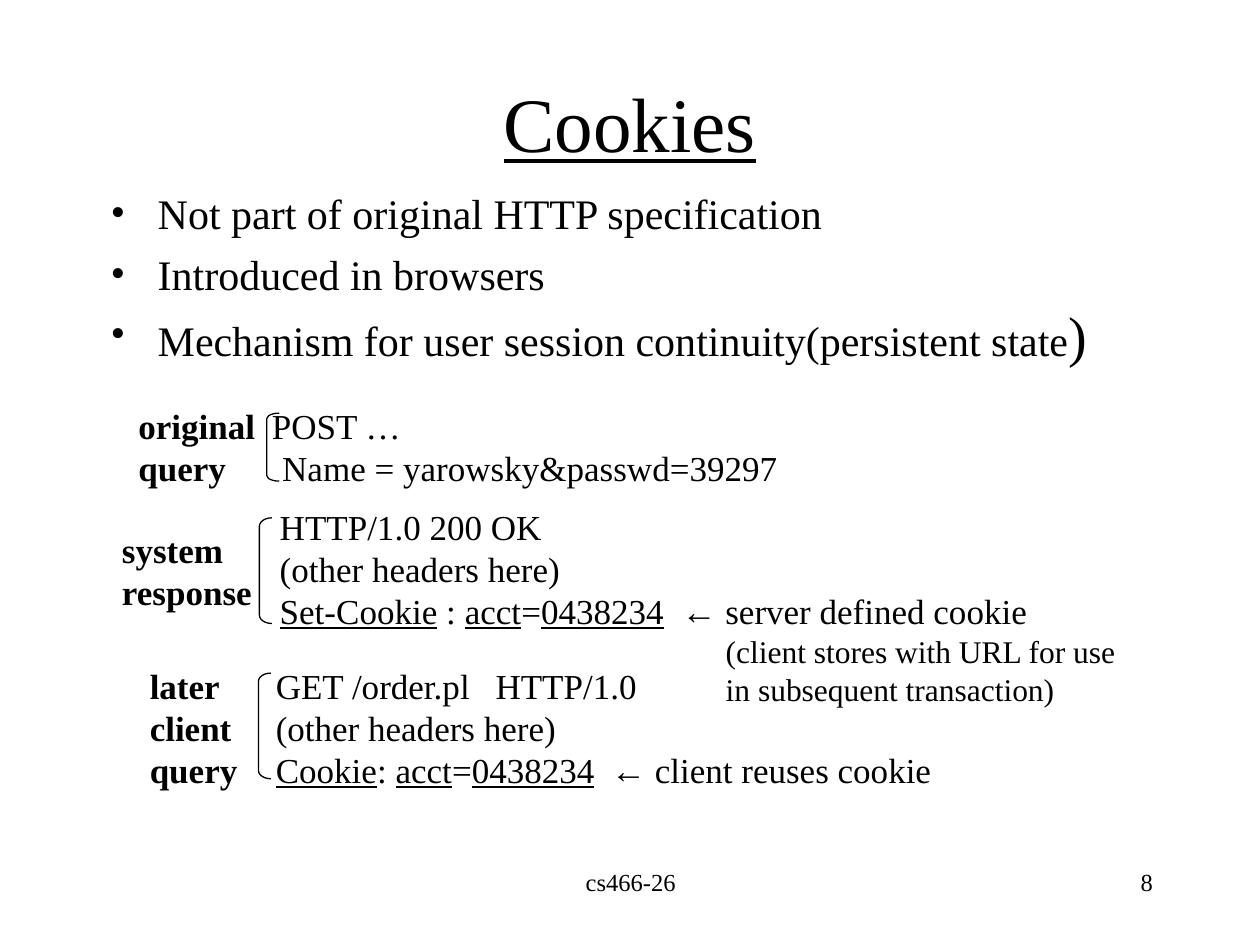
import pptx
import pptx.util
import pptx.dml.color
import pptx.enum.shapes
import pptx.enum.text
import pptx.oxml.ns
from lxml import etree

Cm = pptx.util.Cm
Pt = pptx.util.Pt
qn = pptx.oxml.ns.qn
ALIGN = pptx.enum.text.PP_ALIGN
COLORS = {"ink": "000000"}
INK = pptx.dml.color.RGBColor.from_string(COLORS["ink"])


def add_run(p, text, size=20, bold=False, underline=False, font="Times New Roman"):
    r = p.add_run()
    r.text = text
    r.font.size = Pt(size)
    r.font.bold = bold
    r.font.underline = underline
    r.font.name = font
    r.font.color.rgb = INK


def add_box(x, y, w, h):
    sp = s.shapes.add_textbox(Cm(x), Cm(y), Cm(w), Cm(h))
    sp.text_frame.word_wrap = True
    return sp.text_frame


prs = pptx.Presentation()
prs.slide_width, prs.slide_height = Cm(25.4), Cm(19.05)
s = prs.slides.add_slide(prs.slide_layouts[5])

title = s.shapes.title
title.left, title.top, title.width, title.height = Cm(1.9), Cm(1.3), Cm(21.6), Cm(2.3)
tf = title.text_frame
tf.auto_size = pptx.enum.text.MSO_AUTO_SIZE.NONE
tf.vertical_anchor = pptx.enum.text.MSO_ANCHOR.MIDDLE
tf.paragraphs[0].alignment = ALIGN.CENTER
add_run(tf.paragraphs[0], "Cookies", size=44, underline=True)

bullets = [
    "Not part of original HTTP specification",
    "Introduced in browsers",
    "Mechanism for user session continuity(persistent state",
]
tf = add_box(1.98, 3.66, 21.6, 4.27)
for i, text in enumerate(bullets):
    p = tf.paragraphs[0] if i == 0 else tf.add_paragraph()
    pPr = p._p.get_or_add_pPr()
    pPr.set("marL", str(Cm(0.95)))
    pPr.set("indent", str(-Cm(0.95)))
    etree.SubElement(pPr, qn("a:buFont"), typeface="Times New Roman")
    etree.SubElement(pPr, qn("a:buChar"), char="•")
    if i:
        p.space_before = Pt(6)
    add_run(p, text, size=24)
p.line_spacing = 0.8
p.space_before = Pt(8)
add_run(p, ")", size=32)

PLAIN, BOLD, UNDER = {}, {"bold": True}, {"underline": True}
ARROW = {"font": "Arial"}
SMALL = {"size": 18}
account = [("acct", UNDER), ("=", PLAIN), ("0438234", UNDER), ("\t", PLAIN), ("←", ARROW)]

blocks = [
    (2.54, 8.03, 14, 1.96, [
        ([2.69], [("original", BOLD), ("\tPOST …", PLAIN)]),
        ([2.9], [("query", BOLD), ("\tName = yarowsky&passwd=39297", PLAIN)]),
    ]),
    (5.39, 10.06, 16.5, 2.79, [
        ([], [("HTTP/1.0 200 OK", PLAIN)]),
        ([], [("(other headers here)", PLAIN)]),
        ([8.1], [("Set-Cookie", UNDER), (" : ", PLAIN), *account,
                 (" server defined cookie", PLAIN)]),
    ]),
    (2.77, 13.26, 17, 2.79, [
        ([2.54, 6.97], [("later", BOLD), ("\tGET /order.pl\tHTTP/1.0", PLAIN)]),
        ([2.54], [("client", BOLD), ("\t(other headers here)", PLAIN)]),
        ([2.54, 9.3], [("query", BOLD), ("\t", PLAIN), ("Cookie", UNDER), (": ", PLAIN),
                       *account, (" client reuses cookie", PLAIN)]),
    ]),
    (2.21, 10.52, 3.3, 1.96, [
        ([], [("system", BOLD)]),
        ([], [("response", BOLD)]),
    ]),
    (14.38, 12.62, 8.9, 1.78, [
        ([], [("(client stores with URL for use", SMALL)]),
        ([], [("in subsequent transaction)", SMALL)]),
    ]),
]
for x, y, w, h, lines in blocks:
    tf = add_box(x, y, w, h)
    for i, (tabs, runs) in enumerate(lines):
        p = tf.paragraphs[0] if i == 0 else tf.add_paragraph()
        if tabs:
            tab_list = etree.SubElement(p._p.get_or_add_pPr(), qn("a:tabLst"))
            for pos in tabs:
                etree.SubElement(tab_list, qn("a:tab"), pos=str(Cm(pos)), algn="l")
        for text, style in runs:
            add_run(p, text, **style)

bracket_w = 0.25
for x, y, h in [(5.38, 8.33, 1.37), (5.23, 10.44, 2.13), (5.21, 13.57, 2.13)]:
    sp = s.shapes.add_shape(pptx.enum.shapes.MSO_SHAPE.LEFT_BRACKET,
                            Cm(x), Cm(y), Cm(bracket_w), Cm(h))
    sp.shadow.inherit = False
    sp.adjustments[0] = 0.08 * h / bracket_w
    sp.fill.background()
    sp.line.color.rgb = INK
    sp.line.width = Pt(0.75)

for x, w, text, align in [(8.69, 8.05, "cs466-26", ALIGN.CENTER), (18.21, 5.28, "8", ALIGN.RIGHT)]:
    p = add_box(x, 17.35, w, 1.27).paragraphs[0]
    p.alignment = align
    add_run(p, text, size=14)

prs.save("out.pptx")
